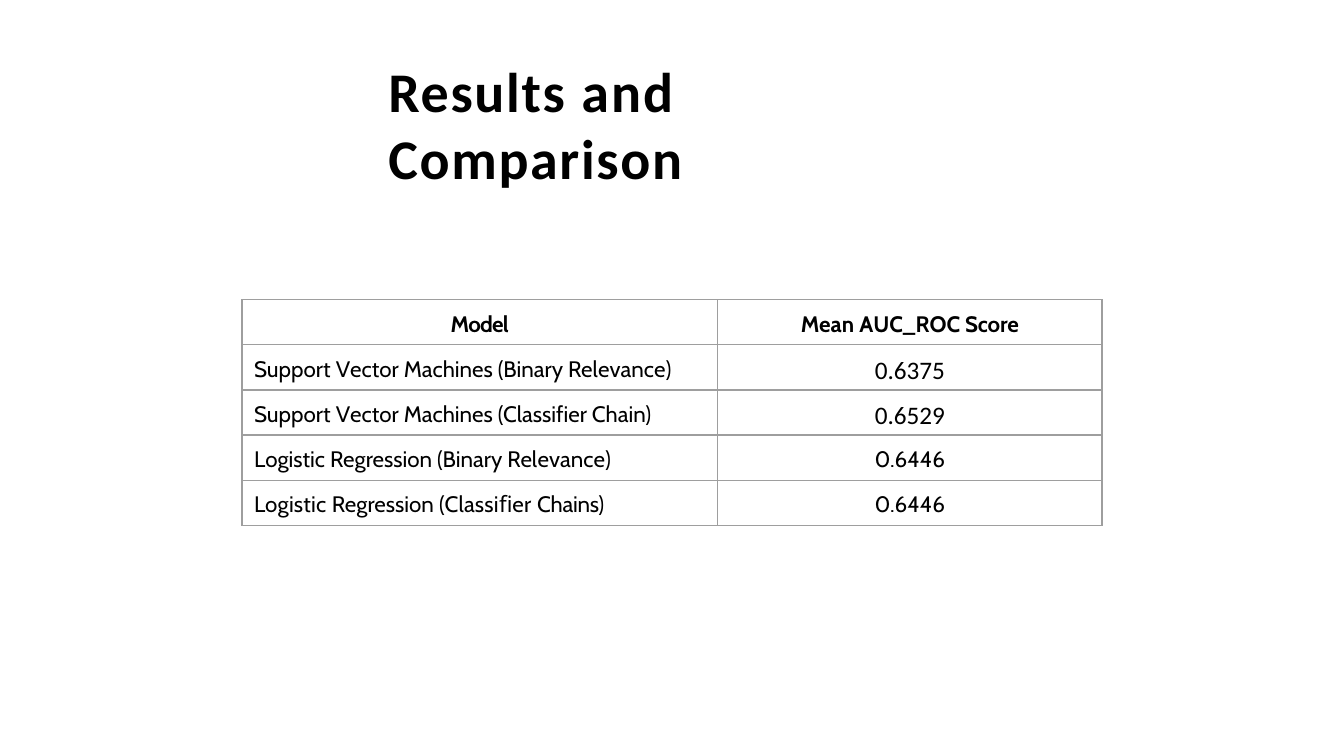
from dataclasses import dataclass

from lxml import etree
from pptx import Presentation
from pptx.dml.color import RGBColor
from pptx.enum.text import MSO_ANCHOR, MSO_AUTO_SIZE, PP_ALIGN
from pptx.oxml.ns import qn
from pptx.util import Inches, Pt

LEFT, CENTER = PP_ALIGN.LEFT, PP_ALIGN.CENTER
MIDDLE = MSO_ANCHOR.MIDDLE
GROW = MSO_AUTO_SIZE.SHAPE_TO_FIT_TEXT


@dataclass(frozen=True)
class Theme:
    ink: RGBColor = RGBColor(0, 0, 0)
    paper: RGBColor = RGBColor(255, 255, 255)
    rule: str = "9E9E9E"
    rule_width: float = 0.75
    title: tuple = ("Calibri", 30)
    body: tuple = ("Cabin", 12)
    figure: tuple = ("Calibri", 13.5)


THEME = Theme()

# Each label is a list of (text, letter spacing in points).
HEADERS = [
    [("Model", -0.4)],
    [("Mean ", 0), ("A", -0.3), ("UC_", 0), ("R", -0.3), ("O", -0.1), ("C ", 0),
     ("Score", -0.1)],
]
RESULTS = [
    ([("Support ", 0), ("V", -0.7), ("ector Machines (Binary Rel", 0), ("e", -0.2),
      ("vanc", 0), ("e", -0.2), (")", 0)], "0.6375", THEME.figure),
    ([("Support ", 0), ("V", -0.7), ("ector Machines (Classifier Chain)", 0)],
     "0.6529", THEME.figure),
    ([("L", -0.2), ("ogistic Regression (Binary Rel", 0), ("e", -0.1),
      ("vanc", 0), ("e", -0.2), (")", 0)], "0.6446", THEME.body),
    ([("Logistic ", 0.1), ("Regression ", 0), ("(Classiﬁer ", 0.1), ("Chains)", -0.1)],
     "0.6446", THEME.body),
]


def add_runs(p, runs, face, bold=False):
    """Add runs of (text, letter spacing) in one type face."""
    name, size = face
    for text, spacing in runs:
        r = p.add_run()
        r.text = text
        font = {"name": name, "size": Pt(size), "bold": bold}
        for key, value in font.items():
            setattr(r.font, key, value)
        r.font.color.rgb = THEME.ink
        r.font._element.set("spc", str(round(spacing * 100)))


def add_title(slide, left, top, width, height):
    tf = slide.shapes.add_textbox(left, top, width, height).text_frame
    frame = {"word_wrap": True, "auto_size": GROW, "vertical_anchor": MIDDLE,
             "margin_left": 0, "margin_top": Inches(0.01),
             "margin_right": 0, "margin_bottom": 0}
    for key, value in frame.items():
        setattr(tf, key, value)
    p = tf.paragraphs[0]
    p.space_before = Pt(1)
    p._p.get_or_add_pPr().set("marL", str(Inches(0.01)))
    add_runs(p, [("Results ", 0.9), ("and ", 1.1), ("Comparison", 0.9)],
             THEME.title, bold=True)


def set_borders(cell):
    tcPr = cell._tc.get_or_add_tcPr()
    for i, side in enumerate(("lnL", "lnR", "lnT", "lnB")):
        ln = etree.Element(qn(f"a:{side}"), w=str(Pt(THEME.rule_width)))
        fill = etree.SubElement(ln, qn("a:solidFill"))
        etree.SubElement(fill, qn("a:srgbClr"), val=THEME.rule)
        tcPr.insert(i, ln)


def fill_cell(cell, runs, face, align=CENTER, bold=False):
    margins = {"margin_left": 0, "margin_top": Inches(0.08),
               "margin_right": 0, "margin_bottom": 0}
    for key, value in margins.items():
        setattr(cell, key, value)
    cell.fill.solid()
    cell.fill.fore_color.rgb = THEME.paper
    set_borders(cell)
    p = cell.text_frame.paragraphs[0]
    p.alignment = align
    p.space_before = Pt(5.7)
    if align == LEFT:
        p._p.get_or_add_pPr().set("marL", str(Inches(0.09)))
    add_runs(p, runs, face, bold)


def add_results_table(slide, left, top, width, height, model_width):
    rows = len(RESULTS) + 1
    table = slide.shapes.add_table(rows, 2, left, top, width, height).table
    table.columns[0].width = model_width
    table.columns[1].width = width - model_width
    for col, runs in enumerate(HEADERS):
        fill_cell(table.cell(0, col), runs, THEME.body, bold=True)
    for row, (model, score, face) in enumerate(RESULTS, start=1):
        fill_cell(table.cell(row, 0), model, THEME.body, LEFT)
        fill_cell(table.cell(row, 1), [(score, 0)], face)


def main():
    prs = Presentation()
    prs.slide_width = Inches(10)
    prs.slide_height = prs.slide_width * 9 // 16
    slide = prs.slides.add_slide(prs.slide_layouts[6])
    add_title(slide, Inches(2.88), Inches(0.65), Inches(4.25), Inches(0.53))
    add_results_table(slide, Inches(1.8), Inches(2.23), Inches(6.4), Inches(1.68),
                      model_width=Inches(3.54))
    prs.save("out.pptx")


if __name__ == "__main__":
    main()
